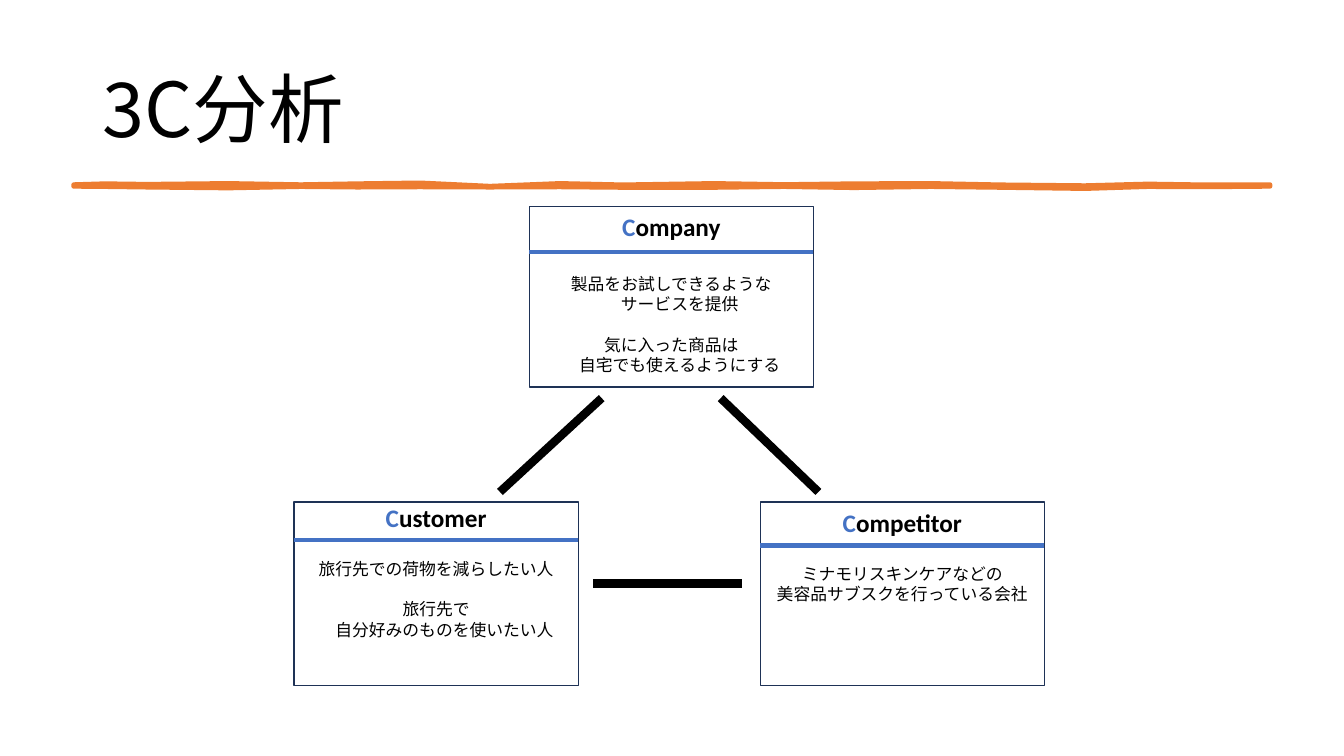
import dataclasses

import lxml.etree
import pptx
import pptx.dml.color
import pptx.enum.shapes
import pptx.enum.text
import pptx.oxml.ns
import pptx.util

Pt = pptx.util.Pt
ALIGN = pptx.enum.text.PP_ALIGN
ANCHOR = pptx.enum.text.MSO_ANCHOR


@dataclasses.dataclass(frozen=True)
class Theme:
    ink: str = "000000"
    paper: str = "FFFFFF"
    brush: str = "ED7D31"
    accent: str = "4472C4"
    border: str = "1E3256"
    latin: str = "Calibri"
    japanese: str = "Noto Sans CJK JP"
    title_size: float = 54
    heading_size: float = 18
    body_size: float = 12
    body_leading: float = 14.4


THEME = Theme()
CARD_WIDTH = 203.04
BRUSH_PROFILE = [
    (52.6, 131.9, 133.2), (75, 131.2, 133.4), (105, 131.6, 133.8),
    (163, 131, 134.4), (215, 131.9, 133.4), (255, 131.2, 133.8),
    (300, 130.6, 133.6), (350, 133, 133.8), (400, 131, 133.6),
    (445, 132, 134), (510, 131, 134), (560, 131.8, 133.4),
    (610, 131.2, 134.2), (665, 131, 133.4), (715, 132, 134),
    (775, 132.6, 134.8), (820, 131.4, 133.4), (860, 132, 133.6),
    (907.2, 131.9, 133.2),
]


def rgb(value):
    return pptx.dml.color.RGBColor.from_string(value)


def apply_format(target, values):
    for name, value in values.items():
        setattr(target, name, value)


def add_run(paragraph, text, colour, **font_values):
    run = paragraph.add_run()
    run.text = text
    apply_format(run.font, font_values)
    run.font.color.rgb = rgb(colour)
    east_asian = lxml.etree.SubElement(
        run.font._element, pptx.oxml.ns.qn("a:ea"))
    east_asian.set("typeface", THEME.japanese)


def set_title(slide, text):
    title = slide.shapes.title
    apply_format(title, {"left": Pt(66), "top": Pt(28.8),
                         "width": Pt(828), "height": Pt(104.4)})
    frame = title.text_frame
    apply_format(frame, {"vertical_anchor": ANCHOR.MIDDLE,
                         "auto_size": pptx.enum.text.MSO_AUTO_SIZE.NONE})
    heading = frame.paragraphs[0]
    apply_format(heading, {"alignment": ALIGN.LEFT, "line_spacing": 0.9})
    add_run(heading, text, THEME.ink, name=THEME.japanese,
            size=Pt(THEME.title_size))


def add_brush_stroke(slide):
    upper = [(Pt(x), Pt(top)) for x, top, _ in BRUSH_PROFILE]
    lower = [(Pt(x), Pt(bottom)) for x, _, bottom in reversed(BRUSH_PROFILE)]
    builder = slide.shapes.build_freeform(*upper[0])
    builder.add_line_segments(upper[1:] + lower, close=True)
    stroke = builder.convert_to_shape()
    stroke.shadow.inherit = False
    stroke.fill.solid()
    stroke.fill.fore_color.rgb = rgb(THEME.brush)
    stroke.line.color.rgb = rgb(THEME.brush)
    stroke.line.width = Pt(3.25)


def add_line(slide, start, end, colour, weight):
    line = slide.shapes.add_connector(
        pptx.enum.shapes.MSO_CONNECTOR.STRAIGHT,
        *map(Pt, start), *map(Pt, end))
    line.line.color.rgb = rgb(colour)
    line.line.width = Pt(weight)
    lxml.etree.SubElement(line._element.spPr,
                          pptx.oxml.ns.qn("a:effectLst"))


def add_card(slide, heading, statements, left, top, height,
             divider, inset, gap):
    card = slide.shapes.add_shape(
        pptx.enum.shapes.MSO_SHAPE.RECTANGLE,
        Pt(left), Pt(top), Pt(CARD_WIDTH), Pt(height))
    card.shadow.inherit = False
    card.fill.solid()
    card.fill.fore_color.rgb = rgb(THEME.paper)
    card.line.color.rgb = rgb(THEME.border)
    card.line.width = Pt(1)
    frame = card.text_frame
    apply_format(frame, {"word_wrap": True, "vertical_anchor": ANCHOR.TOP,
                         "margin_top": Pt(inset)})
    label = frame.paragraphs[0]
    label.alignment = ALIGN.CENTER
    label_font = {"name": THEME.latin, "size": Pt(THEME.heading_size),
                  "bold": True}
    add_run(label, heading[0], THEME.accent, **label_font)
    add_run(label, heading[1:], THEME.ink, **label_font)
    for text, space, indent in statements:
        statement = frame.add_paragraph()
        apply_format(statement, {
            "alignment": ALIGN.CENTER,
            "line_spacing": Pt(THEME.body_leading),
            "space_before": Pt(gap if space is None else space)})
        statement._p.get_or_add_pPr().set("marL", str(Pt(indent)))
        add_run(statement, text, THEME.ink, name=THEME.japanese,
                size=Pt(THEME.body_size), bold=False)
    add_line(slide, (left, top + divider), (left + CARD_WIDTH, top + divider),
             THEME.accent, 3)


def main():
    presentation = pptx.Presentation()
    apply_format(presentation, {"slide_width": Pt(960),
                                "slide_height": Pt(540)})
    slide = presentation.slides.add_slide(presentation.slide_layouts[5])
    add_brush_stroke(slide)
    set_title(slide, "3C分析")

    blank_line = THEME.body_leading
    full_width = THEME.body_size
    add_card(slide, "Company", [
        ("製品をお試しできるような", None, 0),
        ("サービスを提供", 0, full_width),
        ("気に入った商品は", blank_line, 0),
        ("自宅でも使えるようにする", 0, full_width),
    ], left=378, top=147.6, height=128.9, divider=32.4, inset=3.6, gap=23)
    add_card(slide, "Customer", [
        ("旅行先での荷物を減らしたい人", None, 0),
        ("旅行先で", blank_line, 0),
        ("自分好みのものを使いたい人", 0, full_width),
    ], left=210, top=358.6, height=131, divider=27.4, inset=0, gap=19)
    add_card(slide, "Competitor", [
        ("ミナモリスキンケアなどの", None, 0),
        ("美容品サブスクを行っている会社", 0, 0),
    ], left=543, top=358.6, height=131, divider=31, inset=3.6, gap=19)

    for start, end in [((529.9, 416.9), (423.4, 416.9)),
                       ((514.8, 284.4), (584.6, 351.4)),
                       ((429.8, 284.4), (357.1, 351.4))]:
        add_line(slide, start, end, THEME.ink, 6)
    presentation.save("out.pptx")


if __name__ == "__main__":
    main()
